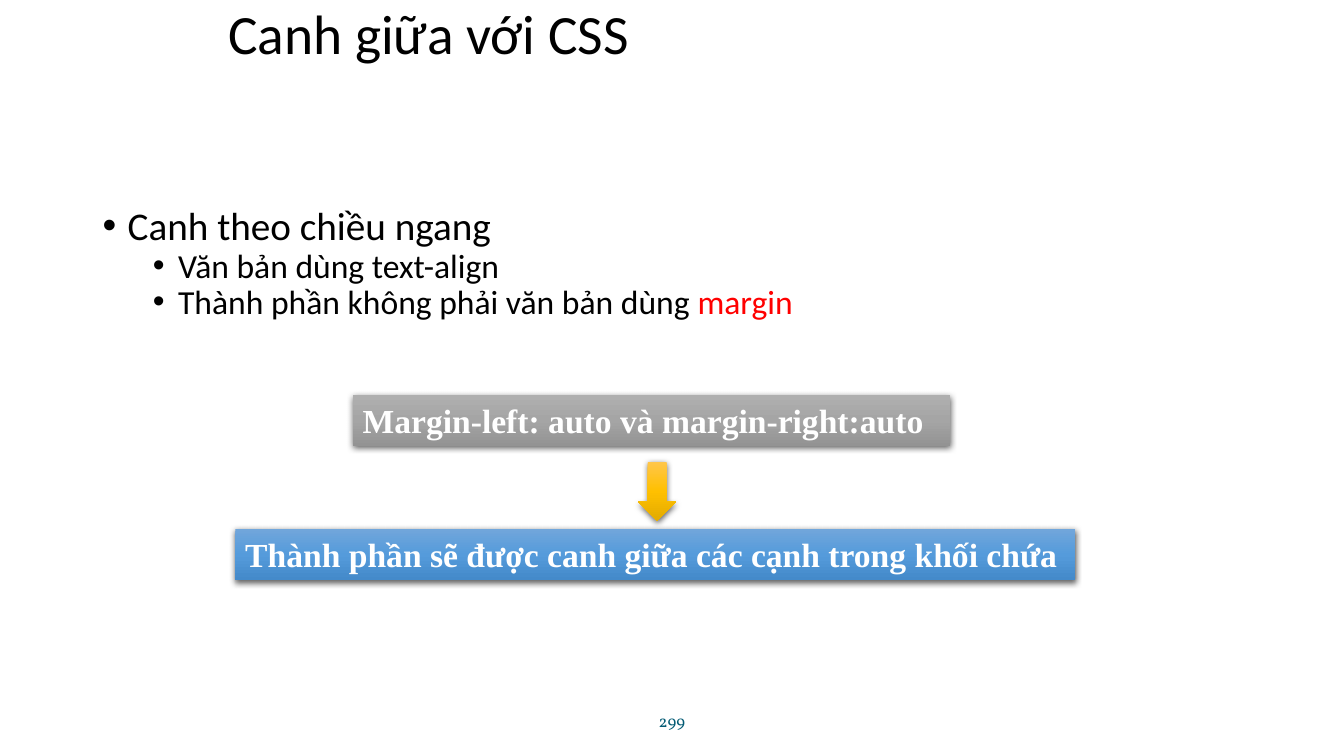
"""Build the slide on horizontal centring with CSS."""
from dataclasses import dataclass

from pptx import Presentation
from pptx.dml.color import RGBColor
from pptx.enum.shapes import MSO_SHAPE
from pptx.enum.text import MSO_ANCHOR, MSO_AUTO_SIZE, PP_ALIGN
from pptx.oxml import parse_xml
from pptx.oxml.ns import nsdecls, qn
from pptx.util import Cm, Pt

RECTANGLE, DOWN_ARROW = MSO_SHAPE.RECTANGLE, MSO_SHAPE.DOWN_ARROW
MIDDLE, TOP = MSO_ANCHOR.MIDDLE, MSO_ANCHOR.TOP
LEFT, CENTER = PP_ALIGN.LEFT, PP_ALIGN.CENTER
GROW = MSO_AUTO_SIZE.SHAPE_TO_FIT_TEXT
BLACK, RED = "000000", "FF0000"


@dataclass
class Box:
    left: float
    top: float
    width: float
    height: float

    def lengths(self) -> list:
        return [Cm(n) for n in (self.left, self.top, self.width, self.height)]


@dataclass
class Bullet:
    text: str
    level: int
    size: float
    margin: float
    highlight: str = ""


@dataclass
class Step:
    kind: int
    box: Box
    gradient: tuple
    text: str = ""


BULLETS = [
    Bullet("Canh theo chiều ngang", 0, 28, 0.25),
    Bullet("Văn bản dùng text-align", 1, 24, 0.75),
    Bullet("Thành phần không phải văn bản dùng ", 1, 24, 0.75, "margin"),
]
STEPS = [
    Step(RECTANGLE, Box(8.89, 9.95, 15.06, 1.28), ("AFAFAF", "A5A5A5", "939393"),
         "Margin-left: auto và margin-right:auto"),
    Step(RECTANGLE, Box(5.93, 13.33, 21.17, 1.28), ("71A6DB", "559BDB", "448ACA"),
         "Thành phần sẽ được canh giữa các cạnh trong khối chứa"),
    Step(DOWN_ARROW, Box(16.09, 11.64, 0.95, 1.48), ("FFC64B", "FFC000", "E3AB00")),
]


def color(value: str) -> RGBColor:
    return RGBColor.from_string(value)


def style(font, name: str, size: float, value: str, bold: bool = False) -> None:
    font.name, font.size, font.bold = name, Pt(size), bold
    font.color.rgb = color(value)


def place(shape, box: Box) -> None:
    shape.left, shape.top, shape.width, shape.height = box.lengths()


def add_title(slide, text: str) -> None:
    title = slide.shapes.title
    place(title, Box(5.5, 0, 23.5, 1.85))
    frame = title.text_frame
    frame.text, frame.vertical_anchor = text, MIDDLE
    heading = frame.paragraphs[0]
    heading.alignment, heading.line_spacing = LEFT, 0.9
    style(heading.font, "Calibri", 39.6, BLACK)


def add_bullets(slide, bullets: list[Bullet]) -> None:
    body = slide.placeholders[1]
    place(body, Box(2.33, 5.08, 29.21, 12.09))
    frame = body.text_frame
    for index, bullet in enumerate(bullets):
        item = frame.add_paragraph() if index else frame.paragraphs[0]
        item.level, item.line_spacing, item.space_before = bullet.level, 0.9, Pt(0)
        properties = item._p.get_or_add_pPr()
        properties.set("marL", str(Cm(bullet.margin * 2.54)))
        properties.set("indent", str(-Cm(0.635)))
        properties.append(parse_xml(f'<a:buFont {nsdecls("a")} typeface="Arial"/>'))
        properties.append(parse_xml(f'<a:buChar {nsdecls("a")} char="•"/>'))
        style(item.font, "Calibri", bullet.size, BLACK)
        item.add_run().text = bullet.text
        if bullet.highlight:
            highlight = item.add_run()
            highlight.text = bullet.highlight
            highlight.font.color.rgb = color(RED)


def add_step(slide, step: Step) -> None:
    shape = slide.shapes.add_shape(step.kind, *step.box.lengths())
    shape.line.fill.background()
    shape.fill.gradient()
    shape.fill.gradient_angle = 270
    properties = shape._element.spPr
    stops = properties.find(".//" + qn("a:gsLst"))
    stops.clear()
    for index, value in enumerate(step.gradient):
        stops.append(parse_xml(
            f'<a:gs {nsdecls("a")} pos="{index * 50000}"><a:srgbClr val="{value}"/></a:gs>'))
    shape.shadow.inherit = False
    properties.find(qn("a:effectLst")).append(parse_xml(
        f'<a:outerShdw {nsdecls("a")} blurRad="{Pt(4.5)}" dist="{Pt(1.5)}" dir="5400000"'
        ' algn="ctr" rotWithShape="0"><a:srgbClr val="000000"><a:alpha val="63000"/>'
        '</a:srgbClr></a:outerShdw>'))
    if step.text:
        frame = shape.text_frame
        frame.text, frame.vertical_anchor = step.text, TOP
        frame.word_wrap, frame.auto_size = True, GROW
        label = frame.paragraphs[0]
        label.alignment = LEFT
        style(label.font, "Times New Roman", 24, "FFFFFF", True)


def add_page_number(slide, number: str) -> None:
    frame = slide.shapes.add_textbox(*Box(11.22, 17.66, 11.43, 1.01).lengths()).text_frame
    frame.word_wrap, frame.vertical_anchor = True, MIDDLE
    frame.text = number
    page = frame.paragraphs[0]
    page.alignment = CENTER
    style(page.font, "Vollkorn", 12, "045C75")


def main() -> None:
    deck = Presentation()
    deck.slide_width, deck.slide_height = Cm(33.87), Cm(19.05)
    slide = deck.slides.add_slide(deck.slide_layouts[1])
    add_title(slide, "Canh giữa với CSS")
    add_bullets(slide, BULLETS)
    add_page_number(slide, "299")
    for step in STEPS:
        add_step(slide, step)
    deck.save("out.pptx")


if __name__ == "__main__":
    main()
